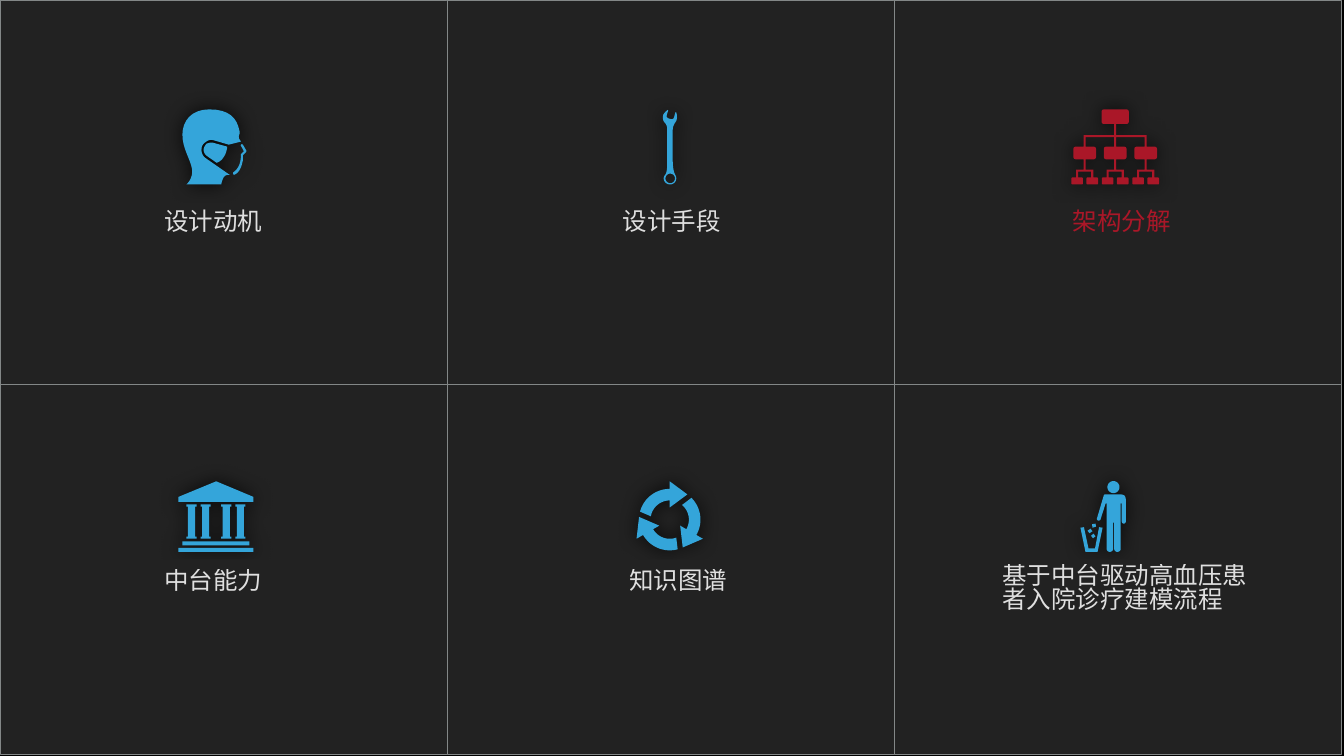
"""Build a six-tile agenda slide with an icon and a label in each tile."""
from dataclasses import dataclass
from math import cos, radians, sin

from lxml import etree
from pptx import Presentation
from pptx import util as u
from pptx.dml.color import RGBColor
from pptx.enum import shapes, text
from pptx.oxml.ns import qn


@dataclass(frozen=True)
class Theme:
    """Colours, font and type size of the slide."""
    backdrop: str = "000000"
    tile: str = "222222"
    border: str = "838787"
    icon: str = "34A5DA"
    active: str = "AA1728"
    label: str = "FFFFFF"
    label_alpha: int = 85
    shadow_alpha: int = 75
    font: str = "Roboto"
    size: int = 35


THEME = Theme()
COLUMN_STEP, TILE_WIDTH = 8.87, 8.88
ROWS = [(0.01, 7.63), (7.63, 7.34)]


def ellipse(cx, cy, radius, start=0, end=360, steps=24):
    """Return points along an arc, with angles clockwise from the right."""
    angles = [radians(start + (end - start) * i / steps) for i in range(steps + 1)]
    return [(cx + radius * cos(a), cy + radius * sin(a)) for a in angles]


def rectangle(left, top, right, bottom):
    """Return the four corners of a rectangle."""
    return [(left, top), (right, top), (right, bottom), (left, bottom)]


def column(x):
    """Return the outline of one temple column."""
    half = [(0, 46), (0, 50), (3, 50), (3, 110), (0, 110), (0, 114)]
    return [(x + dx, y) for dx, y in half] + [(x + 20 - dx, y) for dx, y in half[::-1]]


def cycle_arrow(turn, cx=67, cy=76):
    """Return one arrow of the cycle, turned about the centre."""
    head = [(0, -76), (35, -50), (0, -24)]
    arrow = ellipse(0, 0, 61, 195, 270) + head + ellipse(0, 0, 38, 270, 190)
    c, s = cos(radians(turn)), sin(radians(turn))
    return [(cx + x * c - y * s, cy + x * s + y * c) for x, y in arrow]


TREE_LEVELS = [
    dict(top=0, bottom=29, half=27, radius=4, bar=51, children=(-60.5, 0, 60.5)),
    dict(top=74, bottom=99, half=22.5, radius=4, bar=119.5, children=(-15, 15)),
    dict(top=135, bottom=149, half=11.5, radius=2, children=()),
]


def tree(cx=87, depth=0, stem=2.1):
    """Return the outline of a tree node and everything below it."""
    node = TREE_LEVELS[depth]
    top, bottom, half, r = (node[k] for k in ("top", "bottom", "half", "radius"))
    side = [(stem, top), (half - r, top), (half - 0.3 * r, top + 0.3 * r), (half, top + r),
            (half, bottom - r), (half - 0.3 * r, bottom - 0.3 * r), (half - r, bottom)]
    below = []
    if node["children"]:
        bar = node["bar"]
        side += [(stem, bottom), (stem, bar)]
        for offset in node["children"]:
            x = cx + offset
            below += [(x - stem, bar + 2 * stem), *tree(x, depth + 1), (x + stem, bar + 2 * stem)]
        below[0], below[-1] = (below[0][0], bar), (below[-1][0], bar)
    return [(cx - x, y) for x, y in side] + below + [(cx + x, y) for x, y in side[::-1]]


MASKED_HEAD = [
    [(53, 0), (18, 0, 0, 23, 0, 50), (0, 78, 16, 99, 19, 118), (22, 137, 8, 149, 8, 149),
     (77, 149), (81, 129, 87, 130, 94, 130), (45, 96), (40, 92, 37, 85, 38, 78),
     (38, 73, 41, 68, 46, 65), (50, 61, 56, 60, 61, 61), (92, 70), (116, 64),
     (115, 62, 114, 60, 113, 59), (109, 52, 116, 49, 113, 42), (108, 17, 93, 0, 53, 0)],
    [(57, 66), (54, 66, 51, 67, 48, 68), (45, 71, 43, 75, 42, 79), (42, 84, 44, 89, 48, 92),
     (68, 106), (77, 103, 82, 96, 86, 87), (88, 81, 89, 76, 89, 74), (60, 66)],
    [(118, 69), (117, 69, 115, 71, 116, 72), (122, 83), (116, 89),
     (116, 90, 118, 114, 101, 125), (100, 126, 101, 129, 102, 130),
     (110, 128, 117, 117, 119, 105), (121, 99, 120, 94, 120, 91), (126, 85),
     (127, 84, 127, 83, 127, 82), (120, 70)],
]
WRENCH = [
    [(10, 0), (6, 3, 3, 6, 1, 10), (0, 15, 0, 20, 3, 24), (9, 30, 9, 35, 9, 41), (9, 102),
     (9, 114, 9, 123, 5, 129), (3, 131, 2, 134, 2, 136), (2, 143, 8, 148, 15, 148),
     (21, 148, 27, 143, 27, 136), (27, 133, 26, 131, 25, 129), (22, 124, 20, 113, 20, 102),
     (20, 39), (20, 33, 23, 28, 25, 25), (28, 21, 30, 15, 27, 5), (25, 5),
     (24, 10, 23, 14, 22, 16), (21, 21, 6, 17, 8, 12), (8, 9, 10, 5, 11, 1)],
    ellipse(15, 136, 9.5),
]
TEMPLE = [
    [(75, 0), (0, 31), (0, 41), (149, 41), (149, 31)],
    *[column(x) for x in (16, 44, 85, 113)],
    rectangle(8, 119, 141, 127),
    rectangle(0, 132, 149, 140),
]
PERSON_AND_BIN = [
    ellipse(65.5, 12.5, 12),
    [(52, 27), (49, 27), (48, 27, 46, 28, 46, 30), (33, 74), (32, 76, 33, 78, 35, 79),
     (38, 79, 40, 78, 40, 76), (50, 45), (52, 45), (52, 135), (52, 138, 55, 141, 58, 141),
     (62, 141, 65, 138, 65, 135), (65, 83), (67, 83), (67, 135), (67, 138, 70, 141, 73, 141),
     (77, 141, 80, 138, 80, 135), (80, 45), (82, 45), (82, 81), (82, 83, 84, 85, 86, 85),
     (88, 85, 90, 83, 90, 81), (90, 37), (90, 36, 90, 33, 88, 30), (87, 29, 84, 27, 80, 27)],
    [(7, 92), (0, 93), (10, 141), (34, 141), (44, 93), (37, 92), (29, 134), (16, 134)],
    [(23, 86), (30, 85), (31, 91), (24, 93)],
    [(20, 95), (14, 99), (18, 104), (24, 100)],
    [(26, 105), (21, 109), (25, 114), (30, 110)],
]
CYCLE = [cycle_arrow(turn) for turn in (0, 120, 240)]

TOPICS = [
    dict(label="设计动机", box=(2.81, 4.02, 2.84, 0.82), icon=MASKED_HEAD, at=(3.62, 2.17)),
    dict(label="设计手段", box=(11.91, 4.02, 2.84, 0.82), icon=WRENCH, at=(13.15, 2.18)),
    dict(label="架构分解", box=(20.84, 4.02, 2.84, 0.82), icon=[tree()], at=(21.26, 2.17),
         active=True),
    dict(label="中台能力", box=(2.81, 11.1, 2.84, 0.93), icon=TEMPLE, at=(3.54, 9.55)),
    dict(label="知识图谱", box=(11.31, 11.1, 4.31, 0.93), icon=CYCLE, at=(12.62, 9.55)),
    dict(label="基于中台驱动高血压患者入院诊疗建模流程", box=(19.83, 11.1, 5.21, 1.2),
         icon=PERSON_AND_BIN, at=(21.44, 9.54), align=text.PP_ALIGN.LEFT),
]


def flatten(contour, steps=8):
    """Turn lines and cubic curves into plain points."""
    points = [contour[0]]
    for part in contour[1:]:
        if len(part) == 2:
            points.append(part)
            continue
        knots = [points[-1], part[:2], part[2:4], part[4:]]
        for t in (i / steps for i in range(1, steps + 1)):
            weights = ((1 - t) ** 3, 3 * t * (1 - t) ** 2, 3 * t * t * (1 - t), t ** 3)
            points.append(tuple(sum(w * k[axis] for w, k in zip(weights, knots))
                                for axis in (0, 1)))
    return points


def paint(shape, color):
    """Give a shape a solid fill without line or shadow."""
    shape.fill.solid()
    shape.fill.fore_color.rgb = RGBColor.from_string(color)
    shape.line.fill.background()
    shape.shadow.inherit = False


def add_alpha(color_element, percent):
    """Set the opacity of a colour element."""
    etree.SubElement(color_element, qn("a:alpha"), val=str(percent * 1000))


def add_rectangle(slide, box, color):
    """Add a plain rectangle given in inches."""
    shape = slide.shapes.add_shape(shapes.MSO_SHAPE.RECTANGLE, *map(u.Inches, box))
    paint(shape, color)
    return shape


def add_icon(slide, contours, at, color):
    """Add an icon whose outlines are in hundredths of an inch."""
    outlines = [[tuple(u.Inches(o + v / 100) for o, v in zip(at, point))
                 for point in flatten(contour)] for contour in contours]
    builder = slide.shapes.build_freeform(*outlines[0][0])
    for i, outline in enumerate(outlines):
        if i:
            builder.move_to(*outline[0])
        builder.add_line_segments(outline[1:], close=True)
    icon = builder.convert_to_shape()
    paint(icon, color)
    effects = icon._element.spPr.find(qn("a:effectLst"))
    glow = etree.SubElement(effects, qn("a:outerShdw"), blurRad=str(u.Pt(28)), rotWithShape="0")
    add_alpha(etree.SubElement(glow, qn("a:srgbClr"), val=THEME.backdrop), THEME.shadow_alpha)


def add_label(slide, topic):
    """Add the label of a topic."""
    label = add_rectangle(slide, topic["box"], THEME.tile)
    frame = label.text_frame
    frame.word_wrap = True
    frame.vertical_anchor = text.MSO_ANCHOR.MIDDLE
    frame.margin_left = frame.margin_right = frame.margin_top = frame.margin_bottom = u.Inches(0.06)
    line = frame.paragraphs[0]
    line.text = topic["label"]
    line.alignment = topic.get("align", text.PP_ALIGN.CENTER)
    line.line_spacing = 0.8
    line.font.name, line.font.size = THEME.font, u.Pt(THEME.size)
    active = topic.get("active")
    line.font.color.rgb = RGBColor.from_string(THEME.active if active else THEME.label)
    if not active:
        add_alpha(next(line._p.iter(qn("a:srgbClr"))), THEME.label_alpha)


def main():
    """Assemble and save the slide."""
    deck = Presentation()
    deck.slide_width, deck.slide_height = u.Inches(26.67), u.Inches(15)
    slide = deck.slides.add_slide(deck.slide_layouts[6])
    slide.background.fill.solid()
    slide.background.fill.fore_color.rgb = RGBColor.from_string(THEME.backdrop)
    for top, height in ROWS:
        for i in range(3):
            tile = add_rectangle(slide, (i * COLUMN_STEP, top, TILE_WIDTH, height), THEME.tile)
            tile.line.color.rgb = RGBColor.from_string(THEME.border)
            tile.line.width = u.Pt(1.25)
    for topic in TOPICS:
        add_icon(slide, topic["icon"], topic["at"],
                 THEME.active if topic.get("active") else THEME.icon)
        add_label(slide, topic)
    deck.save("out.pptx")


if __name__ == "__main__":
    main()
